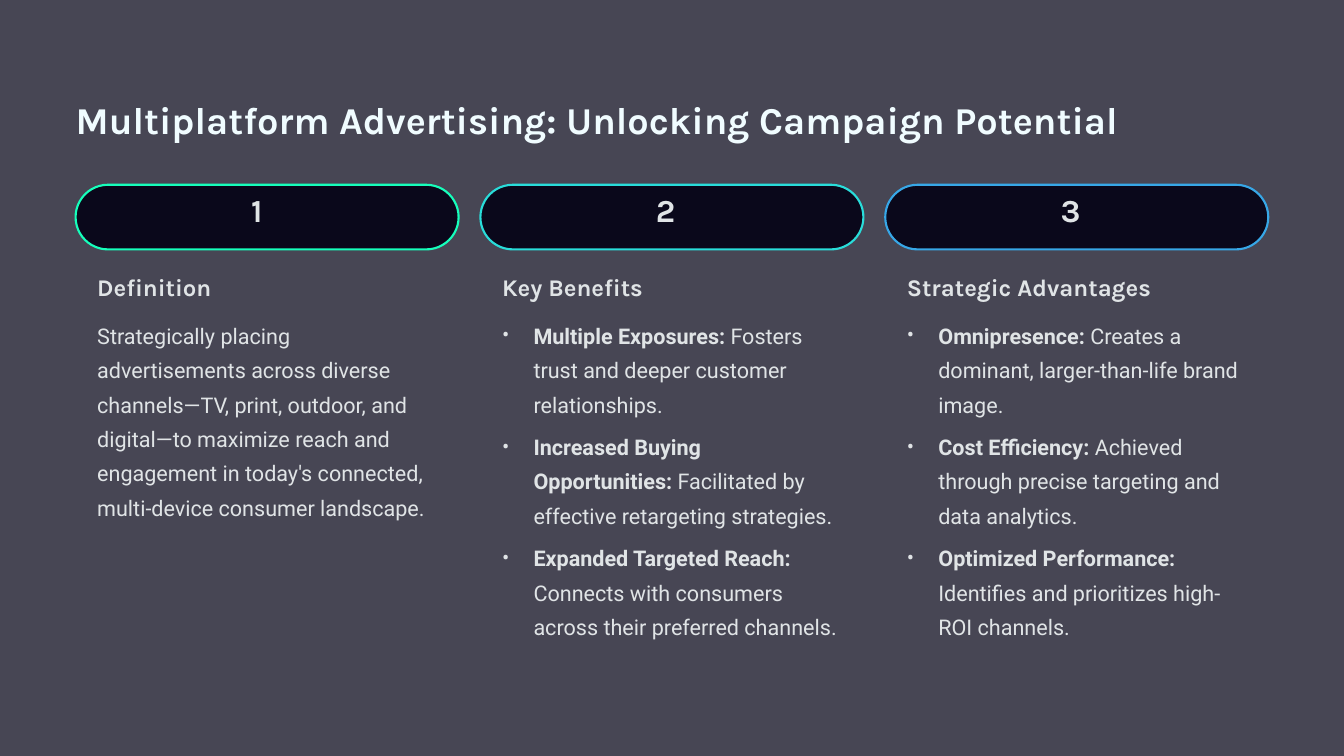
from pptx import Presentation
from pptx.dml.color import RGBColor
from pptx.enum.shapes import MSO_SHAPE
from pptx.enum.text import MSO_ANCHOR, MSO_AUTO_SIZE, PP_ALIGN
from pptx.oxml.ns import qn
from pptx.util import Pt
from lxml import etree

PILL = MSO_SHAPE.ROUNDED_RECTANGLE
TOP = MSO_ANCHOR.TOP
NO_FIT = MSO_AUTO_SIZE.NONE
LEFT = PP_ALIGN.LEFT

COLORS = {
    "page": "474654",
    "pill": "0A081B",
    "title": "F0FCFF",
    "text": "E0E4E6",
}
HEADING_FONT = "Karla"
BODY_FONT = "Roboto"
COLUMN_LEFT = 64.8
COLUMN_PITCH = 347
BULLET_PITCH = 95.4
BULLET_INDENT = 27

COLUMNS = [
    ("16FFBB", "Definition", [
        ("", "Strategically placing advertisements across diverse channels—TV, print, "
             "outdoor, and digital—to maximize reach and engagement in today's connected, "
             "multi-device consumer landscape."),
    ]),
    ("29DDDA", "Key Benefits", [
        ("Multiple Exposures:", " Fosters trust and deeper customer relationships."),
        ("Increased Buying Opportunities:", " Facilitated by effective retargeting strategies."),
        ("Expanded Targeted Reach:", " Connects with consumers across their preferred channels."),
    ]),
    ("37A7E7", "Strategic Advantages", [
        ("Omnipresence:", " Creates a dominant, larger-than-life brand image."),
        ("Cost Efficiency:", " Achieved through precise targeting and data analytics."),
        ("Optimized Performance:", " Identifies and prioritizes high-ROI channels."),
    ]),
]


def set_text(box, spans, font, size, spacing, color, wrap=False):
    frame = box.text_frame
    frame.margin_left = frame.margin_top = frame.margin_right = frame.margin_bottom = 0
    frame.auto_size = NO_FIT
    frame.word_wrap = wrap
    frame.vertical_anchor = TOP
    para = frame.paragraphs[0]
    para.alignment = LEFT
    para.line_spacing = Pt(spacing)
    for words, bold in spans:
        span = para.add_run()
        span.text = words
        span.font.name = font
        span.font.size = Pt(size)
        span.font.bold = bold
        span.font.color.rgb = RGBColor.from_string(color)
    return para


def add_text(page, left, top, width, height, *style, wrap=False):
    box = page.shapes.add_textbox(Pt(left), Pt(top), Pt(width), Pt(height))
    return set_text(box, *style, wrap=wrap)


deck = Presentation()
deck.slide_width, deck.slide_height = Pt(1152), Pt(648)
page = deck.slides.add_slide(deck.slide_layouts[5])
page.background.fill.solid()
page.background.fill.fore_color.rgb = RGBColor.from_string(COLORS["page"])

title = page.shapes.title
title.left, title.top, title.width, title.height = Pt(COLUMN_LEFT), Pt(80.6), Pt(940), Pt(41)
set_text(title, [("Multiplatform Advertising: Unlocking Campaign Potential", True)],
         HEADING_FONT, 32.5, 41, COLORS["title"], wrap=True)

for index, (accent, heading, entries) in enumerate(COLUMNS):
    left = COLUMN_LEFT + index * COLUMN_PITCH
    text_left = left + 18.5

    pill = page.shapes.add_shape(PILL, Pt(left), Pt(158.4), Pt(328.3), Pt(55.4))
    pill.adjustments[0] = 0.5
    pill.shadow.inherit = False
    pill.fill.solid()
    pill.fill.fore_color.rgb = RGBColor.from_string(COLORS["pill"])
    pill.line.color.rgb = RGBColor.from_string(accent)
    pill.line.width = Pt(1.8)

    add_text(page, left + 150.4, 168.7, 28, 34.5, [(str(index + 1), True)],
             HEADING_FONT, 27.5, 27.5, COLORS["text"])
    add_text(page, text_left, 232.6, 206, 26, [(heading, True)],
             HEADING_FONT, 20.5, 25.5, COLORS["text"])

    for row, (label, detail) in enumerate(entries):
        spans = [(label, True), (detail, False)] if label else [(detail, False)]
        height = 88.5 if label else 177.8
        para = add_text(page, text_left, 269.3 + row * BULLET_PITCH, 291.6, height, spans,
                        BODY_FONT, 18.5, 29.5, COLORS["text"], wrap=True)
        if label:
            properties = para._p.get_or_add_pPr()
            properties.set("marL", str(Pt(BULLET_INDENT)))
            properties.set("indent", str(-Pt(BULLET_INDENT)))
            etree.SubElement(properties, qn("a:buFont"), typeface=BODY_FONT)
            etree.SubElement(properties, qn("a:buChar"), char="•")

deck.save("out.pptx")
